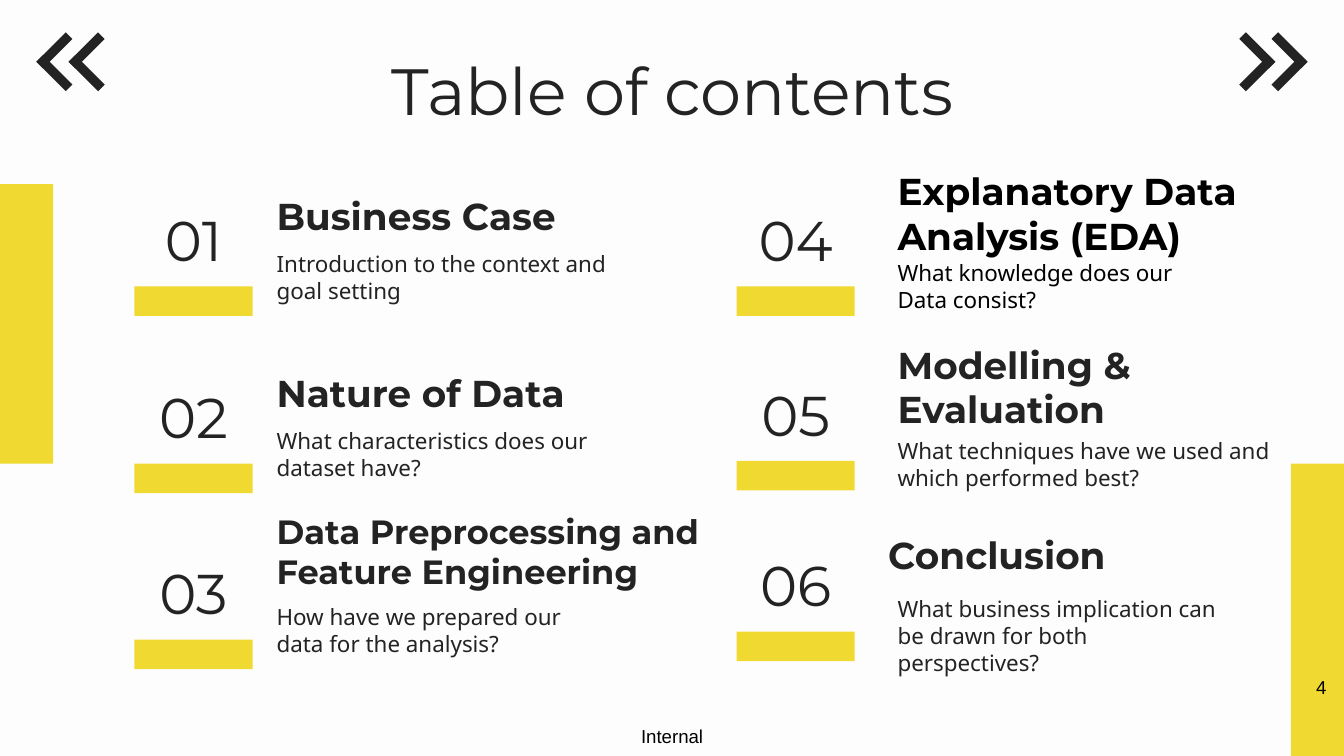
from dataclasses import dataclass

from pptx import Presentation
from pptx.dml.color import RGBColor
from pptx.enum.shapes import MSO_SHAPE
from pptx.enum.text import MSO_ANCHOR, MSO_AUTO_SIZE, PP_ALIGN
from pptx.util import Inches, Pt


@dataclass(frozen=True)
class Theme:
    background: RGBColor = RGBColor(0xFD, 0xFD, 0xFD)
    accent: RGBColor = RGBColor(0xF0, 0xD9, 0x31)
    ink: RGBColor = RGBColor(0x23, 0x23, 0x23)
    black: RGBColor = RGBColor(0, 0, 0)
    display: str = "Montserrat"
    body: str = "Noto Sans"
    plain: str = "Arial"
    title_size: int = 35
    number_size: int = 30
    heading_size: int = 20
    long_heading_size: int = 18
    detail_size: int = 12
    footer_size: int = 10


THEME = Theme()


@dataclass(frozen=True)
class Section:
    top: float
    heading: str
    details: tuple
    heading_width: float = 2.85
    detail_width: float = 2.71
    heading_shift: float = 0
    heading_drop: float = 0
    detail_drop: float = 0.33
    heading_size: int = THEME.heading_size
    color: RGBColor = THEME.ink


LEFT_SECTIONS = (
    Section(1.43, "Business Case",
            ("Introduction to the context and goal setting",)),
    Section(2.75, "Nature of Data",
            ("What characteristics does our dataset have?",)),
    Section(4.06, "Data Preprocessing and Feature Engineering",
            ("How have we prepared our data for the analysis?",),
            heading_width=3.63, detail_width=2.6,
            heading_size=THEME.long_heading_size),
)
RIGHT_SECTIONS = (
    Section(1.43, "Explanatory Data Analysis (EDA)",
            ("What knowledge does our", "Data consist?"),
            heading_drop=0.15, detail_drop=0.4, color=THEME.black),
    Section(2.73, "Modelling & Evaluation",
            ("What techniques have we used and which performed best?",),
            heading_width=3.28, detail_width=3.05,
            heading_drop=0.14, detail_drop=0.42),
    Section(4, "Conclusion",
            ("What business implication can be drawn for both perspectives?",),
            heading_width=2.71, heading_shift=-0.07, heading_drop=-0.05),
)


def fill_text(frame, lines, font_name, size, color, bold=False,
              align=PP_ALIGN.LEFT, anchor=MSO_ANCHOR.TOP, inset=0.1):
    frame.word_wrap = True
    frame.auto_size = MSO_AUTO_SIZE.NONE
    frame.vertical_anchor = anchor
    frame.margin_left = frame.margin_right = Inches(inset)
    frame.margin_top = frame.margin_bottom = Inches(inset)
    for index, line in enumerate(lines):
        paragraph = frame.add_paragraph() if index else frame.paragraphs[0]
        paragraph.alignment = align
        run = paragraph.add_run()
        run.text = line
        run.font.name = font_name
        run.font.size = Pt(size)
        run.font.bold = bold
        run.font.color.rgb = color


def add_text(slide, box, lines, *style, **layout):
    label = slide.shapes.add_textbox(*map(Inches, box))
    fill_text(label.text_frame, lines, *style, **layout)


def add_bar(slide, box, color, rotation=0):
    bar = slide.shapes.add_shape(MSO_SHAPE.RECTANGLE, *map(Inches, box))
    bar.shadow.inherit = False
    bar.fill.solid()
    bar.fill.fore_color.rgb = color
    bar.line.fill.background()
    bar.rotation = rotation


def add_chevrons(slide, left, top, points_right):
    upper, lower = (45, 315) if points_right else (315, 45)
    for offset in (0, 0.24):
        for drop, rotation in ((0, upper), (0.17, lower)):
            add_bar(slide, (left + offset, top + drop, 0.31, 0.07),
                    THEME.ink, rotation)


def add_decoration(slide, width, height):
    bar_width, middle = 0.79, 3.45
    add_bar(slide, (width - bar_width / 2, middle, bar_width, height - middle),
            THEME.accent)
    add_bar(slide, (-bar_width / 2, 1.37, bar_width, middle - 1.37),
            THEME.accent)
    add_chevrons(slide, 9.2, 0.34, True)
    add_chevrons(slide, 0.25, 0.34, False)


def add_title(slide, left, top, width, height):
    title = slide.shapes.title
    title.left, title.top = Inches(left), Inches(top)
    title.width, title.height = Inches(width), Inches(height)
    fill_text(title.text_frame, ["Table of contents"], THEME.display,
              THEME.title_size, THEME.ink, align=PP_ALIGN.CENTER)


def add_section(slide, left, top, text_gap, number, section):
    add_text(slide, (left, top, 0.88, 0.7), [f"{number:02}"], THEME.display,
             THEME.number_size, THEME.ink, align=PP_ALIGN.CENTER,
             anchor=MSO_ANCHOR.MIDDLE)
    add_bar(slide, (left, top + 0.7, 0.88, 0.22), THEME.accent)
    text_left = left + text_gap
    add_text(slide, (text_left + section.heading_shift,
                     top + section.heading_drop, section.heading_width, 0.44),
             [section.heading], THEME.display, section.heading_size,
             section.color, bold=True, anchor=MSO_ANCHOR.BOTTOM)
    add_text(slide, (text_left, top + section.detail_drop,
                     section.detail_width, 0.58),
             section.details, THEME.body, THEME.detail_size, section.color)


def add_column(slide, left, text_gap, first_number, sections):
    for number, section in enumerate(sections, first_number):
        add_section(slide, left, section.top, text_gap, number, section)


def add_footer(slide):
    style = (THEME.plain, THEME.footer_size, THEME.black)
    add_text(slide, (4.77, 5.39, 0.5, 0.17), ["Internal"], *style, inset=0)
    add_text(slide, (9.69, 4.98, 0.28, 0.27), ["4"], *style,
             align=PP_ALIGN.CENTER, anchor=MSO_ANCHOR.MIDDLE, inset=0.05)


def main():
    width = 10
    height = width * 9 / 16
    deck = Presentation()
    deck.slide_width, deck.slide_height = Inches(width), Inches(height)
    slide = deck.slides.add_slide(deck.slide_layouts[5])
    slide.background.fill.solid()
    slide.background.fill.fore_color.rgb = THEME.background
    add_decoration(slide, width, height)
    add_title(slide, 0.79, 0.27, 8.43, 0.63)
    add_column(slide, 1, 0.96, 1, LEFT_SECTIONS)
    add_column(slide, 5.48, 1.1, 4, RIGHT_SECTIONS)
    add_footer(slide)
    deck.save("out.pptx")


if __name__ == "__main__":
    main()
